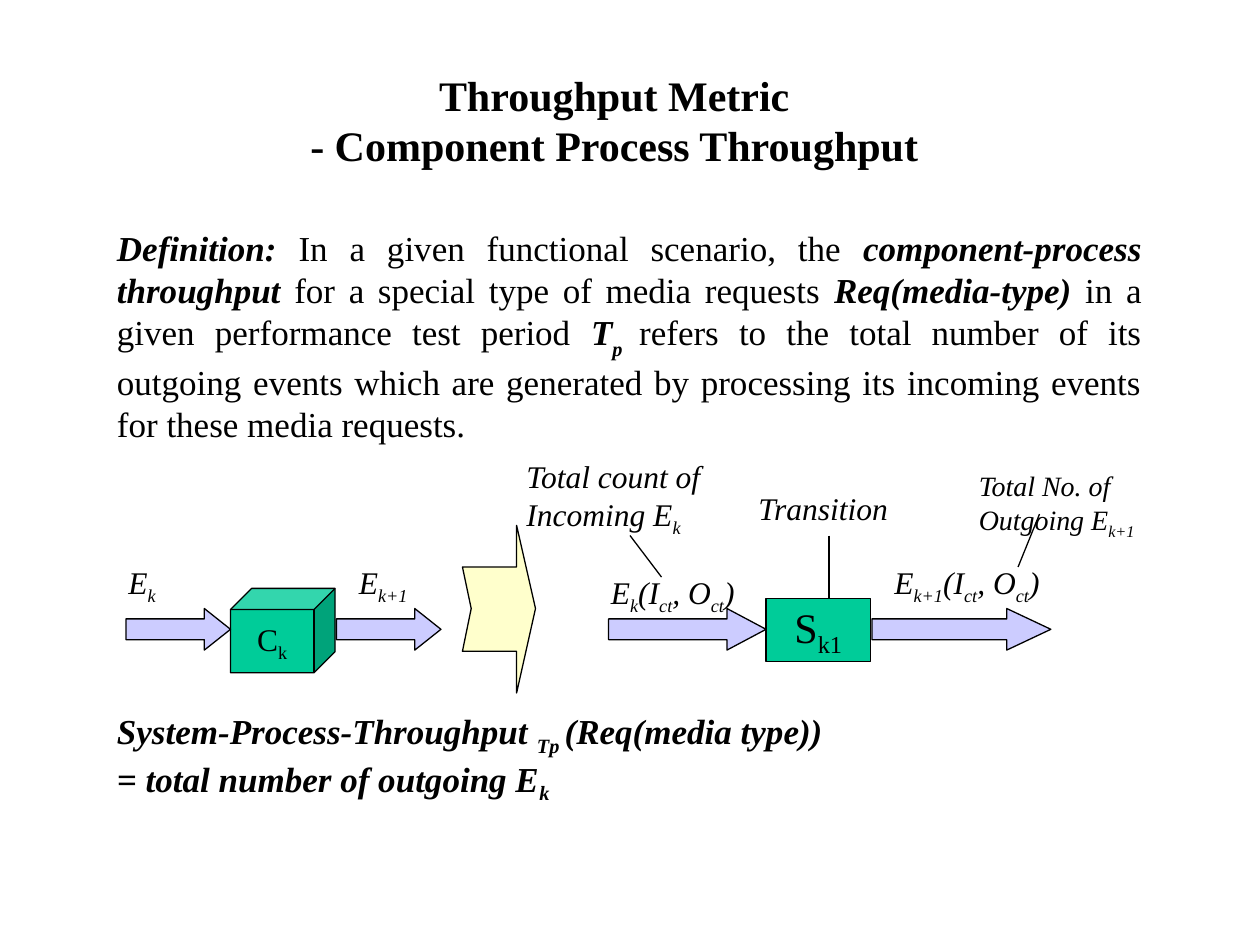
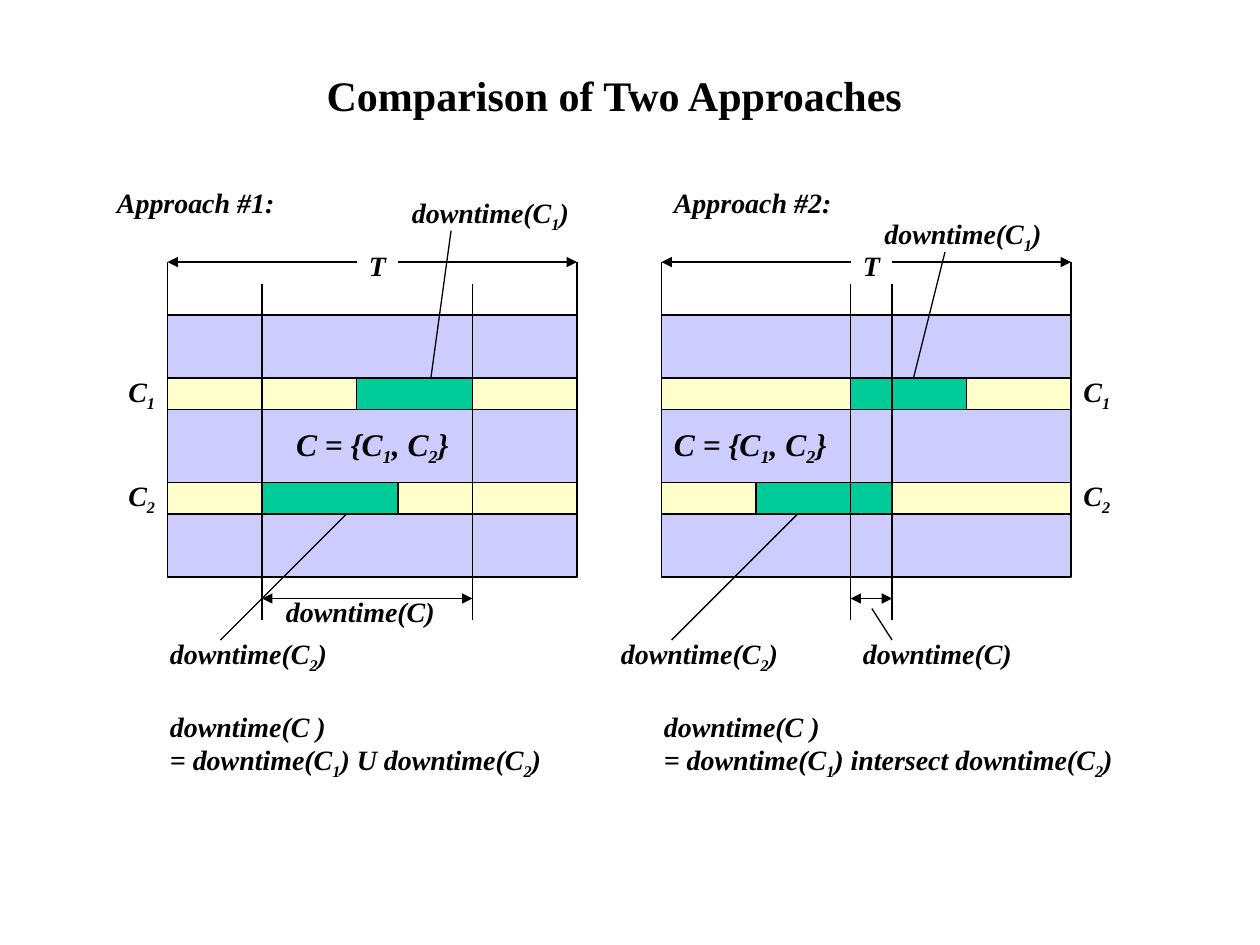
import pptx
import pptx.util
import pptx.dml.color
import pptx.enum.shapes
import pptx.enum.text
import pptx.oxml
import pptx.oxml.ns
from lxml import etree

Inches = pptx.util.Inches
RGB = pptx.dml.color.RGBColor
Kind = pptx.enum.shapes.MSO_SHAPE
STRAIGHT = pptx.enum.shapes.MSO_CONNECTOR.STRAIGHT
Align = pptx.enum.text.PP_ALIGN
Anchor = pptx.enum.text.MSO_ANCHOR
qn = pptx.oxml.ns.qn

FONT = "Times New Roman"
BLACK = RGB(0x00, 0x00, 0x00)
GREEN = RGB(0x00, 0xCC, 0x99)
LILAC = RGB(0xCC, 0xCC, 0xFF)
CREAM = RGB(0xFF, 0xFF, 0xCC)


def write(shape, text, size=16, bold=False, italic=False, align=Align.LEFT,
          anchor=Anchor.TOP, wrap=True, dip=25):
    """Fill a shape with text: ~x~ lowers x by dip percent, *x* makes x bold italic."""
    frame = shape.text_frame
    frame.word_wrap = wrap
    frame.auto_size = pptx.enum.text.MSO_AUTO_SIZE.NONE
    frame.vertical_anchor = anchor
    for n, line in enumerate(text.split("\n")):
        para = frame.add_paragraph() if n else frame.paragraphs[0]
        para.alignment = align
        strong = False
        for i, part in enumerate(line.split("~")):
            for j, piece in enumerate(part.split("*")):
                strong ^= j > 0
                if not piece:
                    continue
                run = para.add_run()
                run.text = piece
                run.font.name = FONT
                run.font.size = pptx.util.Pt(size)
                run.font.bold = bold or strong
                run.font.italic = italic or strong
                run.font.color.rgb = BLACK
                if i % 2:
                    run.font._element.set("baseline", str(-1000 * dip))


def ink(shape, fill=None, ends=()):
    """Give a shape or connector its thin black line, fill and arrowheads."""
    shape.line.color.rgb = BLACK
    shape.line.width = pptx.util.Pt(0.75)
    if fill is not None:
        shape.fill.solid()
        shape.fill.fore_color.rgb = fill
        shape.shadow.inherit = False
        return
    for end in ends:
        etree.SubElement(shape.line._get_or_add_ln(), qn(f"a:{end}End"), type="triangle")
    etree.SubElement(shape._element.spPr, qn("a:effectLst"))


deck = pptx.Presentation()
deck.slide_width, deck.slide_height = Inches(10), Inches(7.5)
slides = []
for title, height in [
    ("Throughput Metric\n- Component Process Throughput", 0.9),
    ("Comparison of Two Approaches", 0.5),
]:
    slide = deck.slides.add_slide(deck.slide_layouts[5])
    head = slide.shapes.title
    head.left, head.top = Inches(1.25), Inches(0.5)
    head.width, head.height = Inches(7.25), Inches(height)
    write(head, title, size=24, bold=True, align=Align.CENTER)
    slides.append(slide)

# Slide 1: component process throughput
shapes = slides[0].shapes

box = shapes.add_textbox(*map(Inches, (0.83, 1.75, 8.33, 1.83)))
write(box, "*Definition:* In a given functional scenario, the *component-process throughput* "
      "for a special type of media requests *Req(media-type)* in a given performance test "
      "period *T~p ~*refers to the total number of its outgoing events which are generated "
      "by processing its incoming events for these media requests.",
      size=20, align=Align.JUSTIFY, dip=30)

for kind, at, text, size in [
    (Kind.CUBE, (1.83, 4.67, 0.83, 0.67), "C~k~", 18),
    (Kind.RECTANGLE, (6.08, 4.75, 0.83, 0.5), "S~k1~", 24),
]:
    node = shapes.add_shape(kind, *map(Inches, at))
    ink(node, GREEN)
    write(node, text, size=size, align=Align.CENTER, anchor=Anchor.MIDDLE, wrap=False)

for left, width, tip in [(1, 0.83, 0.63), (2.67, 0.83, 0.63),
                         (4.83, 1.25, 0.94), (6.92, 1.42, 1.06)]:
    arrow = shapes.add_shape(Kind.RIGHT_ARROW, *map(Inches, (left, 4.83, width, 0.33)))
    arrow.adjustments[1] = tip
    ink(arrow, LILAC)

for ends in [(5, 4.25, 5.25, 4.58), (8.25, 4.08, 8.08, 4.5), (6.58, 4.25, 6.58, 4.75)]:
    ink(shapes.add_connector(STRAIGHT, *map(Inches, ends)))

notch = [(4.1, 4.5), (4.1, 4.17), (4.25, 4.83), (4.1, 5.5),
         (4.1, 5.17), (3.67, 5.17), (3.74, 4.83)]
pen = shapes.build_freeform(Inches(3.67), Inches(4.5))
pen.add_line_segments([(Inches(x), Inches(y)) for x, y in notch], close=True)
ink(pen.convert_to_shape(), CREAM)

for at, text, size in [
    ((2.75, 4.42, 0.67, 0.44), "E~k+1~", 18),
    ((0.92, 4.42, 0.58, 0.44), "E~k~", 18),
    ((7.67, 3.67, 1.67, 0.67), "Total No. of Outgoing E~k+1~", 16),
    ((7, 4.42, 1.5, 0.44), "E~k+1~(I~ct~, O~ct~)", 18),
    ((4.75, 4.5, 1.25, 0.44), "E~k~(I~ct~, O~ct~)", 18),
    ((4.08, 3.58, 1.75, 0.74), "Total count of Incoming E~k~", 18),
    ((5.92, 3.83, 1.42, 0.4), "Transition", 18),
]:
    write(shapes.add_textbox(*map(Inches, at)), text, size=size, italic=True)

box = shapes.add_textbox(*map(Inches, (0.83, 5.58, 8.08, 0.86)))
write(box, "System-Process-Throughput ~Tp ~(Req(media type))\n= total number of outgoing E~k~",
      size=20, bold=True, italic=True, align=Align.JUSTIFY)

# Slide 2: two panels with the same outages, joined by union or by intersection
shapes = slides[1].shapes
SPAN = 3.25
ROWS = [(3, 1.5, 2.42), (3.83, 0.75, 1.83)]  # top, start and end of each outage
starts = [row[1] for row in ROWS]
stops = [row[2] for row in ROWS]

panels = [
    (1.33, Align.CENTER, min(starts), max(stops), 0.92,
     [(3.58, 1.83, 3.42, 3)],
     [((0.83, 1.42, 1.58, 0.37), "Approach #1:"),
      ((3.17, 1.5, 1.58, 0.41), "downtime(C~1~)"),
      ((1.25, 5, 1.58, 0.41), "downtime(C~2~)"),
      ((2.17, 4.67, 1.58, 0.37), "downtime(C)"),
      ((1.25, 5.58, 3.25, 0.67), "downtime(C )\n= downtime(C~1~) U downtime(C~2~)")]),
    (5.25, Align.LEFT, max(starts), min(stops), 8.5,
     [(7.5, 2, 7.25, 3), (6.92, 4.83, 7.08, 5.08)],
     [((5.25, 1.42, 1.58, 0.37), "Approach #2:"),
      ((6.92, 1.67, 1.58, 0.41), "downtime(C~1~)"),
      ((4.83, 5, 1.58, 0.41), "downtime(C~2~)"),
      ((6.75, 5, 1.58, 0.37), "downtime(C)"),
      ((5.17, 5.58, 3.92, 0.67), "downtime(C )\n= downtime(C~1~) intersect downtime(C~2~)")]),
]

for left, align, first, last, side, leads, notes in panels:
    right = left + SPAN
    block = shapes.add_shape(Kind.RECTANGLE, *map(Inches, (left, 2.5, SPAN, 2.08)))
    ink(block, LILAC)
    write(block, "C = {C~1~, C~2~}", size=18, bold=True, italic=True,
          align=align, anchor=Anchor.MIDDLE, wrap=False)

    labels = notes + [((left + 1.5, 1.92, 0.33, 0.37), "T")]
    for n, (top, start, stop) in enumerate(ROWS, 1):
        for a, b, fill in [(start, stop, GREEN), (0, start, CREAM), (stop, SPAN, CREAM)]:
            bar = shapes.add_shape(Kind.RECTANGLE, *map(Inches, (left + a, top, b - a, 0.25)))
            ink(bar, fill)
        labels.append(((side, top - 0.08, 0.43, 0.41), f"C~{n}~"))

    rules = [(x, 2.25, x, 4.92) for x in (left + first, left + last)]
    rules += [(x, 2.08, x, 2.5) for x in (left, right)]
    rules += [(left + 1.08, 4.08, left + 0.08, 5.08)] if side > left else []
    rules += [(left + 1.42, 4.08, left + 0.42, 5.08)] if side < left else []
    for ends in rules + leads:
        ink(shapes.add_connector(STRAIGHT, *map(Inches, ends)))
    for a, b, y, heads in [
        (left, left + 1.5, 2.08, ["head"]),
        (left + 1.83, right, 2.08, ["tail"]),
        (left + first, left + last, 4.75, ["head", "tail"]),
    ]:
        ink(shapes.add_connector(STRAIGHT, *map(Inches, (a, y, b, y))), ends=heads)

    for at, text in labels:
        write(shapes.add_textbox(*map(Inches, at)), text, bold=True, italic=True)

deck.save("out.pptx")
